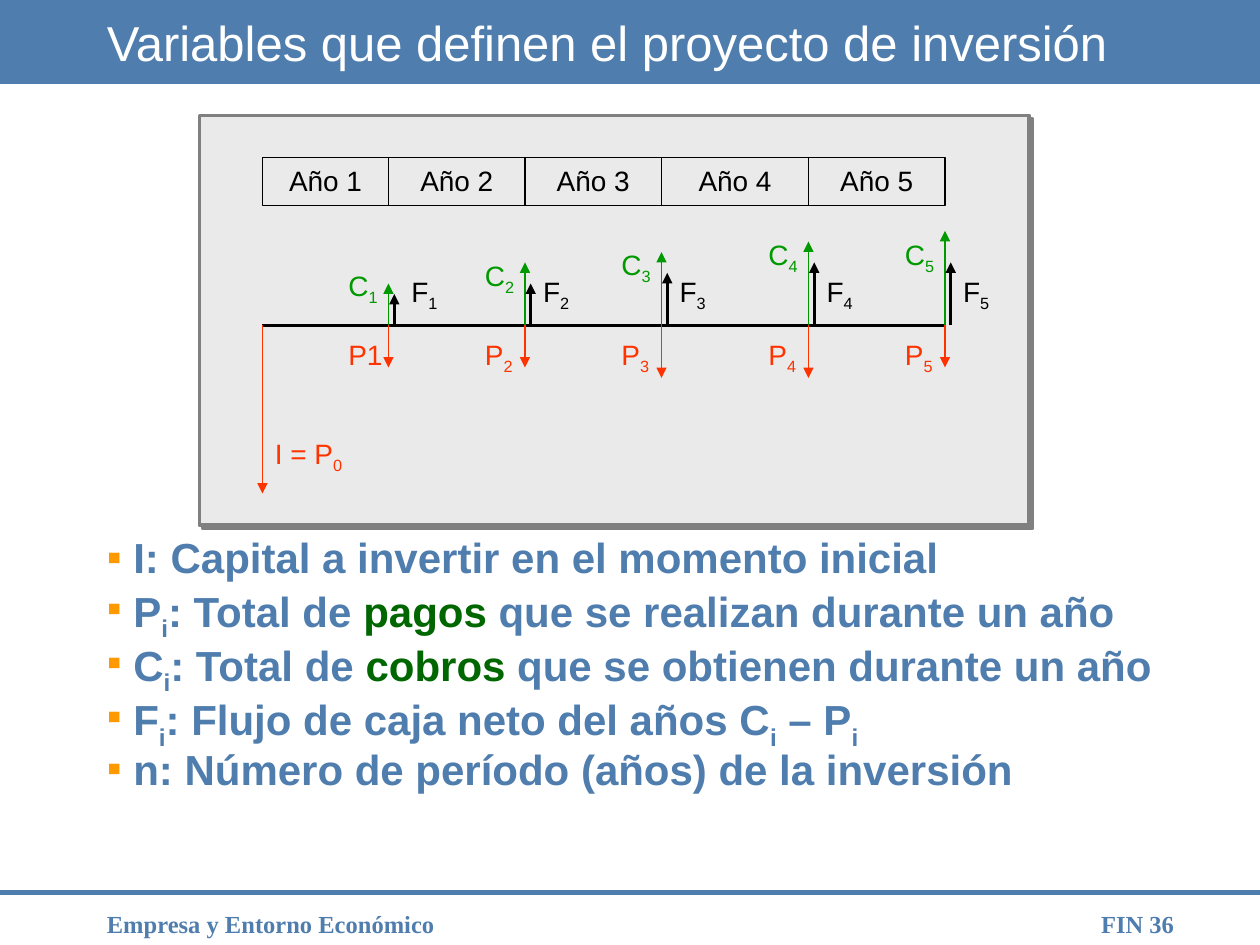
from collections import namedtuple
from itertools import pairwise

from lxml.etree import SubElement
from pptx import Presentation
from pptx.dml.color import RGBColor
from pptx.enum.shapes import MSO_CONNECTOR, MSO_SHAPE
from pptx.enum.text import MSO_ANCHOR, PP_ALIGN
from pptx.oxml.ns import qn
from pptx.util import Inches, Pt

BLUE, ORANGE, DARK_GREEN = "4F7DAE", "FF9900", "006600"
RED, GREEN, BLACK, WHITE = "FF3300", "009900", "000000", "FFFFFF"
PANEL_FILL, PANEL_EDGE = "EAEAEA", "808080"
COLUMNS, ROWS = 120, 90

Box = namedtuple("Box", "left top width height")
Year = namedtuple("Year", "payment income flow income_label flow_offset")
Part = namedtuple("Part", "text tint sub", defaults=(BLUE, False))

YEARS = [
    Year(4, 4, 3, 14, 1),
    Year(4, 6, 4, 13, 0.55),
    Year(5, 7, 5, 12, 0.55),
    Year(5, 8, 6, 11, 0.55),
    Year(4, 9, 6, 11, 0.55),
]
YEAR_MARKS = [6, 18, 31, 44, 58, 71]
AXIS_ROW = 20

SUB_I = Part("i", sub=True)
DEFINITIONS = [
    [Part("I: Capital a invertir en el momento inicial")],
    [Part("P"), SUB_I, Part(": Total de "), Part("pagos", DARK_GREEN),
     Part(" que se realizan durante un año")],
    [Part("C"), SUB_I, Part(": Total de "), Part("cobros", DARK_GREEN),
     Part(" que se obtienen durante un año")],
    [Part("F"), SUB_I, Part(": Flujo de caja neto del años C"), SUB_I,
     Part(" – P"), SUB_I],
    [Part("n: Número de período (años) de la inversión")],
]


def color(value):
    return RGBColor.from_string(value)


def cells(count):
    return Inches(count / 12)


def inside(box, left, top, width, height):
    return Box(box.left + left, box.top + top, width, height)


def add_run(paragraph, text, tint, size, font="Arial", bold=False, sub=False):
    run = paragraph.add_run()
    run.text = text
    run.font.name = font
    run.font.size = Pt(size)
    run.font.bold = bold
    run.font.color.rgb = color(tint)
    if sub:
        run.font._element.set("baseline", "-25000")


def add_text(slide, box, wrap=True):
    frame = slide.shapes.add_textbox(*map(cells, box)).text_frame
    frame.word_wrap = wrap
    return frame


def add_label(slide, box, letter, index, tint, wrap=True):
    paragraph = add_text(slide, box, wrap).paragraphs[0]
    add_run(paragraph, letter, tint, 16)
    if index:
        add_run(paragraph, index, tint, 16, sub=True)


def add_rectangle(slide, box, fill=None, edge=None, weight=0.75):
    rectangle = slide.shapes.add_shape(MSO_SHAPE.RECTANGLE, *map(cells, box))
    rectangle.shadow.inherit = False
    if fill:
        rectangle.fill.solid()
        rectangle.fill.fore_color.rgb = color(fill)
    else:
        rectangle.fill.background()
    if edge:
        rectangle.line.color.rgb = color(edge)
        rectangle.line.width = Pt(weight)
    else:
        rectangle.line.fill.background()
    return rectangle


def add_line(slide, start, end, tint, weight, arrow=False):
    line = slide.shapes.add_connector(
        MSO_CONNECTOR.STRAIGHT, *map(cells, (*start, *end)))
    line.line.color.rgb = color(tint)
    line.line.width = Pt(weight)
    if arrow:
        SubElement(line.line._get_or_add_ln(), qn("a:tailEnd"), type="triangle")
    SubElement(line._element.spPr, qn("a:effectLst"))


def draw_header(slide, box):
    add_rectangle(slide, box, BLUE)
    frame = add_text(slide, inside(box, 9, 0, 102, box.height))
    frame.vertical_anchor = MSO_ANCHOR.MIDDLE
    add_run(frame.paragraphs[0],
            "Variables que definen el proyecto de inversión", WHITE, 28)


def draw_footer(slide, box):
    add_line(slide, (box.left, box.top), (box.left + box.width, box.top), BLUE, 3)
    for text, left, width, alignment in (
        ("Empresa y Entorno Económico", 9, 56, PP_ALIGN.LEFT),
        ("FIN 36", 96.8, 16.2, PP_ALIGN.RIGHT),
    ):
        paragraph = add_text(slide, inside(box, left, 1, width, 3)).paragraphs[0]
        paragraph.alignment = alignment
        add_run(paragraph, text, BLUE, 14, "Times New Roman", bold=True)


def draw_panel(slide, box):
    panel = add_rectangle(slide, box, PANEL_FILL, PANEL_EDGE, 2.25)
    effects = panel._element.spPr.find(qn("a:effectLst"))
    shadow = SubElement(effects, qn("a:outerShdw"), blurRad="0",
                        dist=str(Pt(2.8)), dir="2700000", algn="ctr", rotWithShape="0")
    SubElement(shadow, qn("a:srgbClr"), val=PANEL_EDGE)


def draw_years(slide, box):
    for number, (start, end) in enumerate(pairwise(YEAR_MARKS), 1):
        year = add_rectangle(
            slide, inside(box, start, 4, end - start, 4.55), edge=BLACK)
        frame = year.text_frame
        frame.word_wrap = True
        frame.vertical_anchor = MSO_ANCHOR.TOP
        frame.paragraphs[0].alignment = PP_ALIGN.CENTER
        add_run(frame.paragraphs[0], f"Año {number}", BLACK, 16)


def draw_cash_flows(slide, box):
    axis = box.top + AXIS_ROW
    origin, *year_ends = [box.left + mark for mark in YEAR_MARKS]

    def add_arrow(column, rise, tint, weight=0.75):
        add_line(slide, (column, axis), (column, axis - rise), tint, weight, True)

    add_line(slide, (origin, axis), (year_ends[-1], axis), BLACK, 2.25)
    add_arrow(origin, -16, RED)
    add_label(slide, Box(origin, box.top + 30, 9, 4.4), "I = P", "0", RED)

    for number, (column, year) in enumerate(zip(year_ends, YEARS), 1):
        index = str(number)
        add_arrow(column, -year.payment, RED)
        add_arrow(column, year.income, GREEN)
        add_arrow(column + 0.55, year.flow, BLACK, 1.5)
        add_label(slide, Box(column + year.flow_offset, axis - 5.4, 5, 4.4),
                  "F", index, BLACK, wrap=False)
        add_label(slide, Box(column - 5, box.top + year.income_label, 5.4, 4.4),
                  "C", index, GREEN)
        payment = ("P1", "") if number == 1 else ("P", index)
        add_label(slide, Box(column - 5, axis + 0.6, 6, 4.4), *payment, RED)


def draw_definitions(slide, box):
    frame = add_text(slide, box)
    for position, definition in enumerate(DEFINITIONS):
        paragraph = frame.add_paragraph() if position else frame.paragraphs[0]
        paragraph.line_spacing = 0.8
        properties = paragraph._p.get_or_add_pPr()
        properties.set("marL", str(Inches(0.21)))
        properties.set("indent", str(Inches(-0.21)))
        before = SubElement(properties, qn("a:spcBef"))
        SubElement(before, qn("a:spcPct"), val="20000")
        bullet_color = SubElement(properties, qn("a:buClr"))
        SubElement(bullet_color, qn("a:srgbClr"), val=ORANGE)
        SubElement(properties, qn("a:buFont"), typeface="Arial")
        SubElement(properties, qn("a:buChar"), char="▪")
        for part in definition:
            add_run(paragraph, part.text, part.tint, 24, bold=True, sub=part.sub)


def main():
    presentation = Presentation()
    presentation.slide_width = cells(COLUMNS)
    presentation.slide_height = cells(ROWS)
    slide = presentation.slides.add_slide(presentation.slide_layouts[6])
    diagram = Box(19, 11, 79, 39)
    draw_header(slide, Box(0, 0, COLUMNS, 8))
    draw_footer(slide, Box(0, 85, COLUMNS, 5))
    draw_panel(slide, diagram)
    draw_definitions(slide, Box(9, 51, 102, 30))
    draw_cash_flows(slide, diagram)
    draw_years(slide, diagram)
    presentation.save("out.pptx")


if __name__ == "__main__":
    main()
